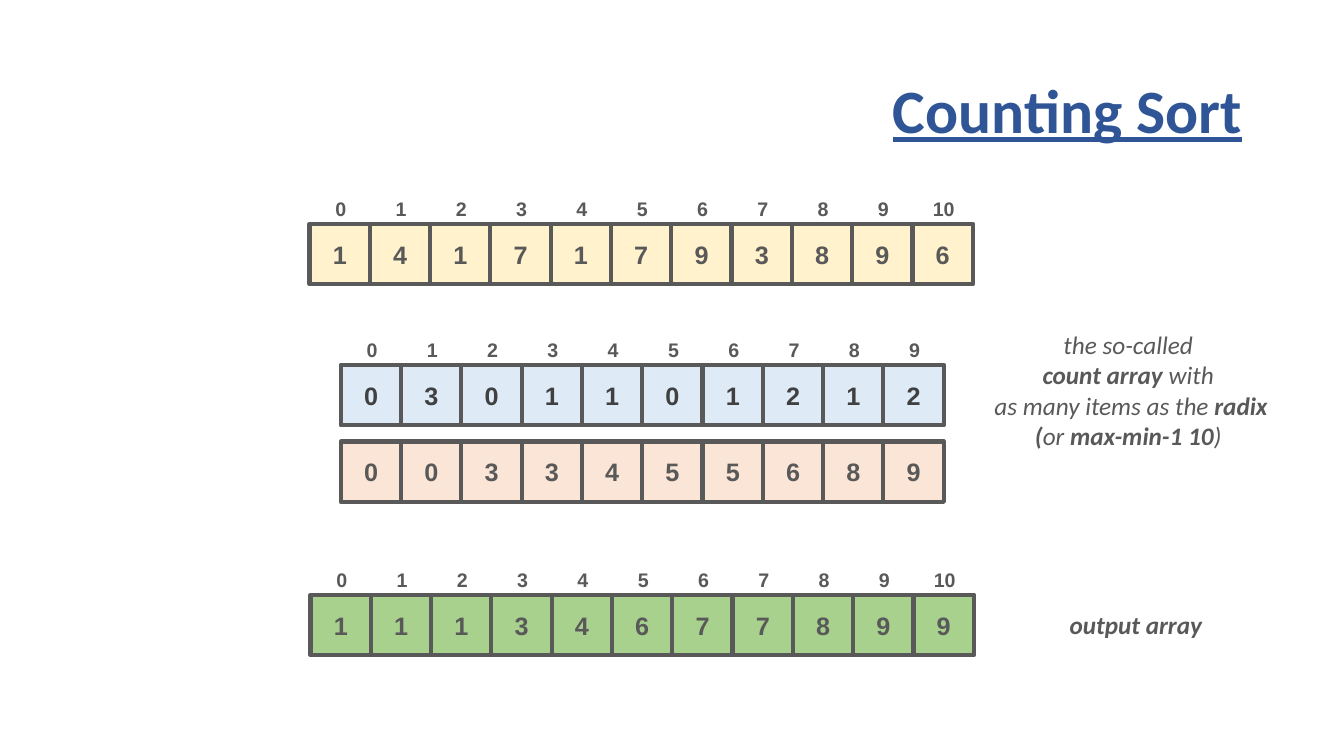
from dataclasses import dataclass

from lxml.etree import SubElement
from pptx import Presentation
from pptx.dml.color import RGBColor
from pptx.enum.shapes import MSO_SHAPE as Preset
from pptx.enum.text import MSO_ANCHOR as Anchor, MSO_AUTO_SIZE as AutoSize, PP_ALIGN as Align
from pptx.oxml.ns import qn
from pptx.shapes.autoshape import Shape
from pptx.slide import Slide
from pptx.text.text import _Paragraph as Paragraph, _Run as Run
from pptx.util import Inches, Pt

COLORS = {
    "title": "2F5597",
    "gray": "595959",
    "dark": "404040",
    "input": "FFF2CC",
    "count": "DEEBF7",
    "sums": "FBE5D6",
    "output": "A9D18E",
}
CELL = 0.6
PITCH = 5.98 / 10
INDEX_SHIFT = 0.01
INDEX_RISE = 0.45


@dataclass(frozen=True)
class ArrayRow:
    left: float
    top: float
    values: tuple[int, ...]
    fill: str
    ink: str = "gray"
    indexed: bool = True


@dataclass(frozen=True)
class TextStyle:
    size: int
    color: str = "gray"
    bold: bool = True
    italic: bool = False
    underline: bool = False
    complex_font: str = "Calibri"


@dataclass(frozen=True)
class Note:
    left: float
    top: float
    width: float
    height: float
    lines: tuple[tuple[tuple[str, bool], ...], ...]


ARRAYS = (
    ArrayRow(3.07, 2.22, (1, 4, 1, 7, 1, 7, 9, 3, 8, 9, 6), "input"),
    ArrayRow(3.38, 3.62, (0, 3, 0, 1, 1, 0, 1, 2, 1, 2), "count", ink="dark"),
    ArrayRow(3.38, 4.38, (0, 0, 3, 3, 4, 5, 5, 6, 8, 9), "sums", indexed=False),
    ArrayRow(3.08, 5.9, (1, 1, 1, 3, 4, 6, 7, 7, 8, 9, 9), "output"),
)
NOTES = (
    Note(9.66, 3.22, 3.06, 1.62, (
        (("the so-called", False),),
        (("count array ", True), ("with", False)),
        (("as many items as the ", False), ("radix ", True)),
        (("(", False), ("10 ", True), ("or", False), (" max-min-1)", True)),
    )),
    Note(10.5, 6, 1.53, 0.4, ((("output array", True),),)),
)


def rgb(name: str) -> RGBColor:
    return RGBColor.from_string(COLORS[name])


def format_run(run: Run, style: TextStyle) -> None:
    font = run.font
    font.name = "Calibri"
    font.size = Pt(style.size)
    font.bold = style.bold
    font.italic = style.italic
    font.underline = style.underline
    font.color.rgb = rgb(style.color)
    SubElement(font._element, qn("a:cs")).set("typeface", style.complex_font)


def center_right_to_left(paragraph: Paragraph) -> None:
    paragraph.alignment = Align.CENTER
    paragraph._p.get_or_add_pPr().set("rtl", "1")


def add_textbox(slide: Slide, left: float, top: float, width: float, height: float) -> Shape:
    return slide.shapes.add_textbox(Inches(left), Inches(top), Inches(width), Inches(height))


def write_number(holder: Shape, number: int, size: int, color: str) -> None:
    frame = holder.text_frame
    frame.word_wrap = True
    frame.vertical_anchor = Anchor.MIDDLE
    frame.text = str(number)
    center_right_to_left(frame.paragraphs[0])
    format_run(frame.paragraphs[0].runs[0], TextStyle(size, color, complex_font="Arial"))


def draw_array(slide: Slide, row: ArrayRow) -> None:
    for index, value in enumerate(row.values):
        left = row.left + index * PITCH
        cell = slide.shapes.add_shape(
            Preset.RECTANGLE, Inches(left), Inches(row.top), Inches(CELL), Inches(CELL)
        )
        cell.shadow.inherit = False
        cell.fill.solid()
        cell.fill.fore_color.rgb = rgb(row.fill)
        cell.line.color.rgb = rgb("gray")
        cell.line.width = Pt(3)
        write_number(cell, value, 18, row.ink)
    if row.indexed:
        for index in range(len(row.values)):
            left = row.left + index * PITCH + INDEX_SHIFT
            label = add_textbox(slide, left, row.top - INDEX_RISE, CELL, CELL)
            write_number(label, index, 14, "gray")


def draw_note(slide: Slide, note: Note) -> None:
    frame = add_textbox(slide, note.left, note.top, note.width, note.height).text_frame
    frame.word_wrap = False
    frame.auto_size = AutoSize.SHAPE_TO_FIT_TEXT
    for number, line in enumerate(note.lines):
        paragraph = frame.add_paragraph() if number else frame.paragraphs[0]
        center_right_to_left(paragraph)
        for words, bold in line:
            run = paragraph.add_run()
            run.text = words
            format_run(run, TextStyle(18, bold=bold, italic=True))


def draw_title(slide: Slide, title: str) -> None:
    frame = add_textbox(slide, 0.92, 0.4, 11.5, 1.45).text_frame
    frame.word_wrap = True
    frame.vertical_anchor = Anchor.MIDDLE
    frame.text = title
    heading = frame.paragraphs[0]
    heading.alignment = Align.RIGHT
    heading.line_spacing = 0.9
    format_run(heading.runs[0], TextStyle(44, "title", underline=True))


def main() -> None:
    deck = Presentation()
    deck.slide_width = Inches(13.33)
    deck.slide_height = Inches(7.5)
    slide = deck.slides.add_slide(deck.slide_layouts[6])
    draw_title(slide, "Counting Sort")
    for row in ARRAYS:
        draw_array(slide, row)
    for note in NOTES:
        draw_note(slide, note)
    deck.save("out.pptx")


if __name__ == "__main__":
    main()
